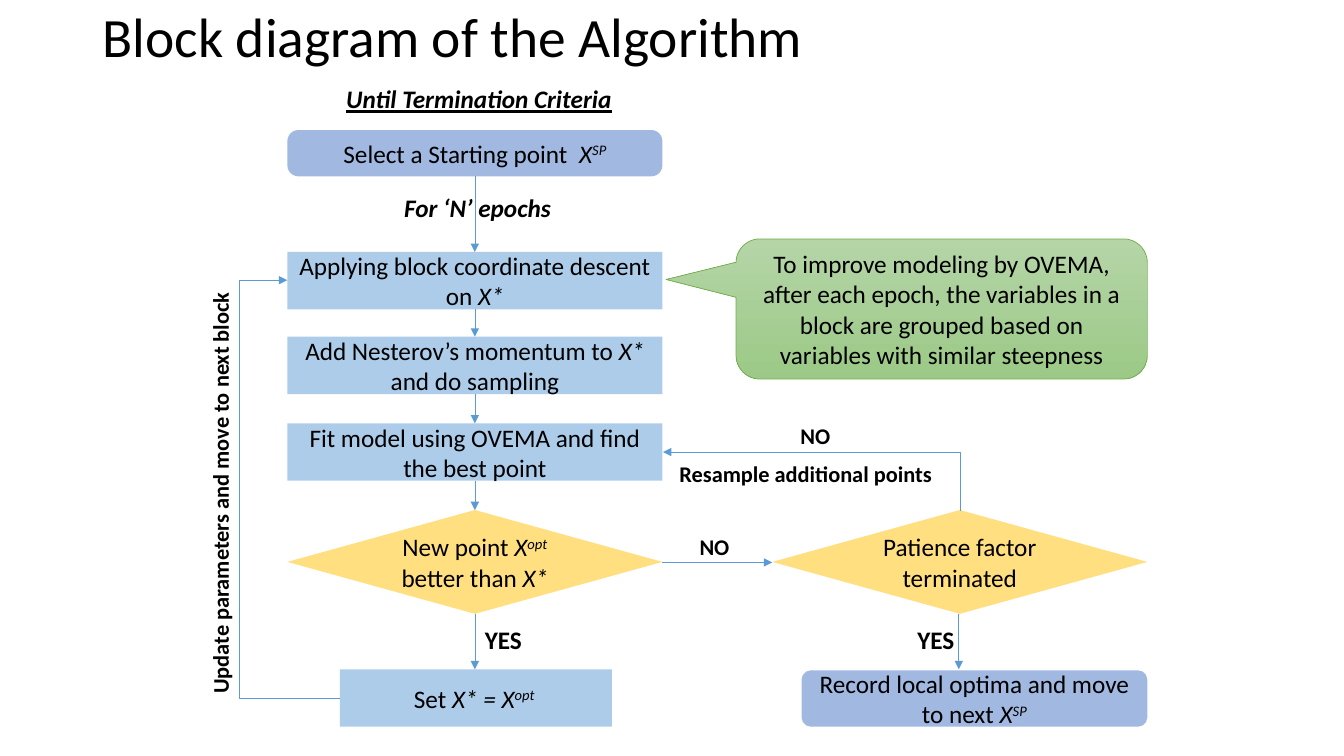
"""Build the slide with the block diagram of the algorithm."""
from lxml import etree
from pptx import Presentation
from pptx import util as u
from pptx.dml.color import RGBColor
from pptx.enum import shapes, text
from pptx.oxml.ns import qn

PX = 9144
FONT = "Calibri"
BLACK, WHITE, BLUE, INDIGO, AMBER, GREEN = "000000", "FFFFFF", "5B9BD5", "4472C4", "FFC000", "70AD47"
LEFT_BOX, LEFT_AXIS, BOX_WIDTH, BOX_HEIGHT = 285, 471, 372, 57
Kind = shapes.MSO_SHAPE
Align = text.PP_ALIGN
color = RGBColor.from_string


def write(shape, runs, size=18, align=Align.CENTER, anchor=text.MSO_ANCHOR.MIDDLE):
    """Fill a shape with runs; style letters are b, i, u and s for superscript."""
    frame = shape.text_frame
    frame.word_wrap = True
    frame.auto_size = text.MSO_AUTO_SIZE.NONE
    frame.vertical_anchor = anchor
    paragraph = frame.paragraphs[0]
    paragraph.alignment = align
    for words, style in runs:
        run = paragraph.add_run()
        run.text = words
        font = run.font
        font.name, font.size = FONT, u.Pt(size)
        font.color.rgb = color(BLACK)
        font.bold, font.italic, font.underline = "b" in style, "i" in style, "u" in style
        if "s" in style:
            run._r.get_or_add_rPr().set("baseline", "30000")
    return paragraph


def add_block(kind, box, fill, runs, alpha=50, align=Align.CENTER):
    """Add a borderless block with a see-through fill."""
    shape = slide.shapes.add_shape(kind, *[length * PX for length in box])
    shape.shadow.inherit = False
    shape.fill.solid()
    shape.fill.fore_color.rgb = color(fill)
    fill_color = shape._element.spPr.find(qn("a:solidFill"))[0]
    etree.SubElement(fill_color, qn("a:alpha")).set("val", str(alpha * 1000))
    shape.line.fill.background()
    write(shape, runs, align=align)
    return shape


presentation = Presentation()
presentation.slide_width, presentation.slide_height = 1333 * PX, 750 * PX
slide = presentation.slides.add_slide(presentation.slide_layouts[5])

title = slide.shapes.title
title.left, title.top, title.width, title.height = [length * PX for length in (92, 5, 1150, 68)]
write(title, [("Block diagram of the Algorithm", "")], 39.6, Align.LEFT).line_spacing = 0.9

epochs = add_block(Kind.RECTANGLE, (391, 190, 178, 32), WHITE, [("For ‘N’ epochs", "bi")], 100, Align.LEFT)
epochs.line.color.rgb = color(WHITE)
epochs.line.width = u.Pt(1)

start = add_block(Kind.ROUNDED_RECTANGLE, (LEFT_BOX, 129, BOX_WIDTH, 46), INDIGO,
                  [("Select a Starting point  ", ""), ("X", "i"), ("SP", "is")])
start.adjustments[0] = 0.24

steps = [
    (250, [("Applying block coordinate descent on ", ""), ("X*", "i")]),
    (334, [("Add Nesterov’s momentum to ", ""), ("X*", "i"), (" and do sampling", "")]),
    (420, [("Fit model using OVEMA and find the best point", "")]),
]
for top, runs in steps:
    add_block(Kind.RECTANGLE, (LEFT_BOX, top, BOX_WIDTH, BOX_HEIGHT), BLUE, runs)

decisions = [
    (LEFT_BOX, [("New point ", ""), ("X", "i"), ("opt ", "is"), ("better than ", ""), ("X*", "i")]),
    (766, [("Patience factor terminated", "")]),
]
for left, runs in decisions:
    add_block(Kind.DIAMOND, (left, 506, BOX_WIDTH, 103), AMBER, runs)

add_block(Kind.RECTANGLE, (337, 664, 270, BOX_HEIGHT), BLUE,
          [("Set ", ""), ("X* = X", "i"), ("opt ", "is")])
add_block(Kind.ROUNDED_RECTANGLE, (795, 665, 343, 56), INDIGO,
          [("Record local optima and move to next ", ""), ("X", "i"), ("SP", "is")])

callout = add_block(Kind.ROUNDED_RECTANGULAR_CALLOUT, (730, 237, 408, 139), GREEN,
                    [("To improve modeling by OVEMA, after each epoch, the variables in a block "
                      "are grouped based on variables with similar steepness", "")])
for index, value in enumerate((-0.67, -0.21, 0.17)):
    callout.adjustments[index] = value
callout.fill.gradient()
callout.fill.gradient_angle = 270
for stop, shade in zip(callout.fill.gradient_stops, ("B5D5A7", "9CC987")):
    stop.color.rgb = color(shade)
callout.line.color.rgb = color(GREEN)
callout.line.width = u.Pt(0.5)

arrows = [(LEFT_AXIS, top, LEFT_AXIS, bottom)
          for top, bottom in ((175, 250), (307, 334), (391, 420), (477, 506), (609, 664))]
arrows += [(951, 609, 951, 664), (657, 558, 766, 558)]
connectors = [slide.shapes.add_connector(shapes.MSO_CONNECTOR.STRAIGHT, *[length * PX for length in ends])
              for ends in arrows]
next_block, resample = [slide.shapes.add_connector(shapes.MSO_CONNECTOR.ELBOW, *[length * PX for length in ends])
                        for ends in ((337, 693, 285, 278), (776, 625, 834, 330))]

guide = etree.SubElement(next_block._element.spPr.prstGeom.get_or_add_avLst(), qn("a:gd"))
guide.set("name", "adj1")
guide.set("fmla", "val 190900")
resample._element.spPr.prstGeom.set("prst", "bentConnector2")
resample._element.spPr.find(qn("a:xfrm")).set("rot", str(270 * 60000))

for connector in connectors + [next_block, resample]:
    connector.line.color.rgb = color(BLUE)
    connector.line.width = u.Pt(0.5)
    etree.SubElement(connector.line._get_or_add_ln(), qn("a:tailEnd")).set("type", "triangle")
    etree.SubElement(connector._element.spPr, qn("a:effectLst"))

labels = [
    ((254, 78, 442, 37), "Until Termination Criteria", "biu", 18, Align.CENTER, 0),
    ((664, 452, 302, 34), "Resample additional points", "b", 16, Align.LEFT, 0),
    ((684, 524, 56, 34), "NO", "b", 16, Align.LEFT, 0),
    ((784, 414, 56, 34), "NO", "b", 16, Align.LEFT, 0),
    ((471, 614, 104, 37), "YES", "b", 18, Align.LEFT, 0),
    ((900, 614, 104, 37), "YES", "b", 18, Align.LEFT, 0),
    ((-3, 458, 443, 37), "Update parameters and move to next block", "b", 16, Align.LEFT, 270),
]
for box, words, style, size, align, rotation in labels:
    label = slide.shapes.add_textbox(*[length * PX for length in box])
    label.rotation = rotation
    write(label, [(words, style)], size, align, text.MSO_ANCHOR.TOP)

presentation.save("out.pptx")
